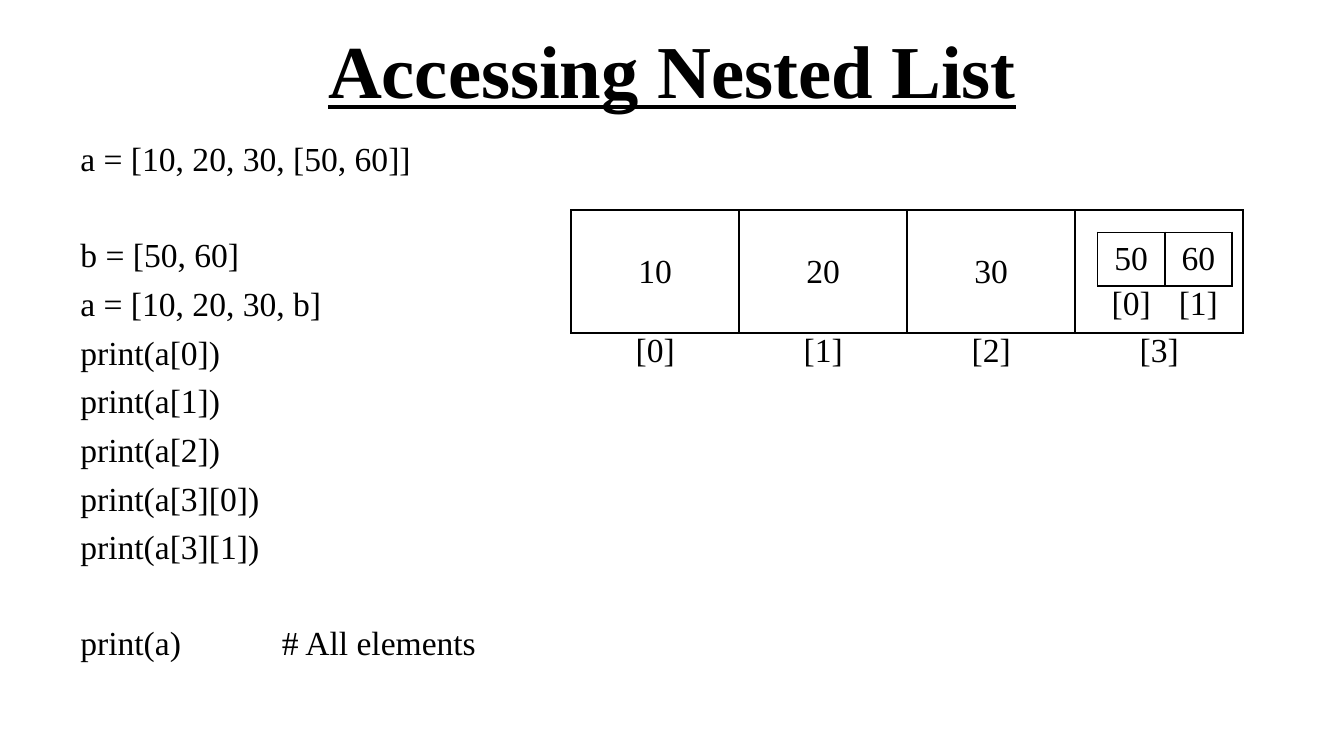
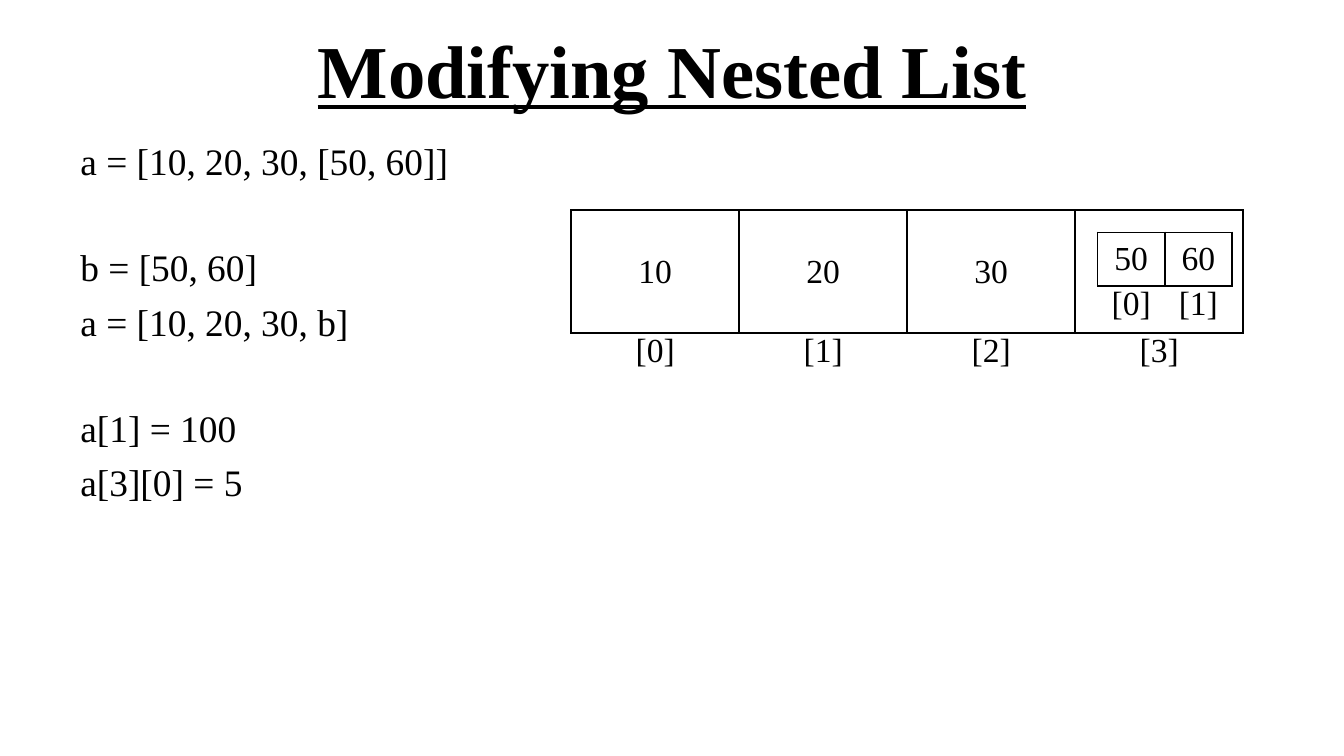
from pptx import Presentation
from pptx.dml.color import RGBColor
from pptx.enum.text import MSO_ANCHOR, PP_ALIGN
from pptx.oxml import parse_xml
from pptx.oxml.ns import nsdecls, qn
from pptx.util import Pt

INK = "000000"
PLAIN = "{2D5ABB26-0587-4C30-8999-92F81FD0307C}"  # table style without grid
HEAD = {"size": Pt(40), "bold": True, "underline": True}
TITLE = (36, 3, 648, 67.5)
BODY = (36, 70.5, 648, 300)
CHART = (306, 112.5, 360, 66)

# Each block of code is followed by one empty line's worth of space
SLIDES = [
    ("Accessing Nested List", 18, [
        ["a = [10, 20, 30, [50, 60]]"],
        ["b = [50, 60]", "a = [10, 20, 30, b]", "print(a[0])", "print(a[1])",
         "print(a[2])", "print(a[3][0])", "print(a[3][1])"],
        ["print(a)\t\t# All elements"],
    ]),
    ("Modifying Nested List", 20, [
        ["a = [10, 20, 30, [50, 60]]"],
        ["b = [50, 60]", "a = [10, 20, 30, b]"],
        ["a[1] = 100", "a[3][0] = 5"],
    ]),
]


def color(code):
    return RGBColor.from_string(code)


def write(para, text, form):
    run = para.add_run()
    run.text = text
    run.font.color.rgb = color(INK)
    for name, value in {"name": "Times New Roman", **form}.items():
        setattr(run.font, name, value)


def frame(slide, box):
    text = slide.shapes.add_textbox(*map(Pt, box)).text_frame
    text.word_wrap = True
    return text


def title(slide, box, text):
    area = frame(slide, box)
    area.vertical_anchor = MSO_ANCHOR.MIDDLE
    para = area.paragraphs[0]
    para.alignment = PP_ALIGN.CENTER
    write(para, text, HEAD)


def code(slide, box, size, blocks):
    area = frame(slide, box)
    for i, block in enumerate(blocks):
        for j, line in enumerate(block):
            first = i == j == 0
            para = area.paragraphs[0] if first else area.add_paragraph()
            if not first:
                # A block starts one full line (1.4 em) lower
                para.space_before = Pt(size * (0.25 if j else 1.65))
            write(para, line, {"size": Pt(size)})


def border(cell):
    props = cell._tc.get_or_add_tcPr()
    for side in ("lnL", "lnR", "lnT", "lnB"):
        props.append(parse_xml(
            f'<a:{side} {nsdecls("a")} w="{Pt(1)}"><a:solidFill>'
            f'<a:srgbClr val="{INK}"/></a:solidFill></a:{side}>'))


def row(slide, box, items, lined):
    table = slide.shapes.add_table(1, len(items), *map(Pt, box)).table
    table.first_row = table.horz_banding = False
    table._tbl.tblPr.find(qn("a:tableStyleId")).text = PLAIN
    for cell, item in zip(table.iter_cells(), items):
        if lined:
            border(cell)
        cell.fill.background()
        cell.vertical_anchor = MSO_ANCHOR.MIDDLE
        para = cell.text_frame.paragraphs[0]
        para.alignment = PP_ALIGN.CENTER
        if item:
            write(para, item, {"size": Pt(18)})


def diagram(slide, box):
    x, y, w, h = box
    small = w / 10
    inner = x + w - 78
    # Outer list, with the nested list inside its last cell
    row(slide, box, ["10", "20", "30", ""], True)
    row(slide, (inner, y + 12, 2 * small, 27), ["50", "60"], True)
    # Index labels
    row(slide, (x, y + 60.5, w, 30), [f"[{i}]" for i in range(4)], False)
    row(slide, (inner, y + 36, 2 * small, 27), ["[0]", "[1]"], False)


def main():
    deck = Presentation()
    deck.slide_width, deck.slide_height = Pt(720), Pt(405)
    for name, size, blocks in SLIDES:
        slide = deck.slides.add_slide(deck.slide_layouts[6])
        title(slide, TITLE, name)
        code(slide, BODY, size, blocks)
        diagram(slide, CHART)
    deck.save("out.pptx")


if __name__ == "__main__":
    main()
